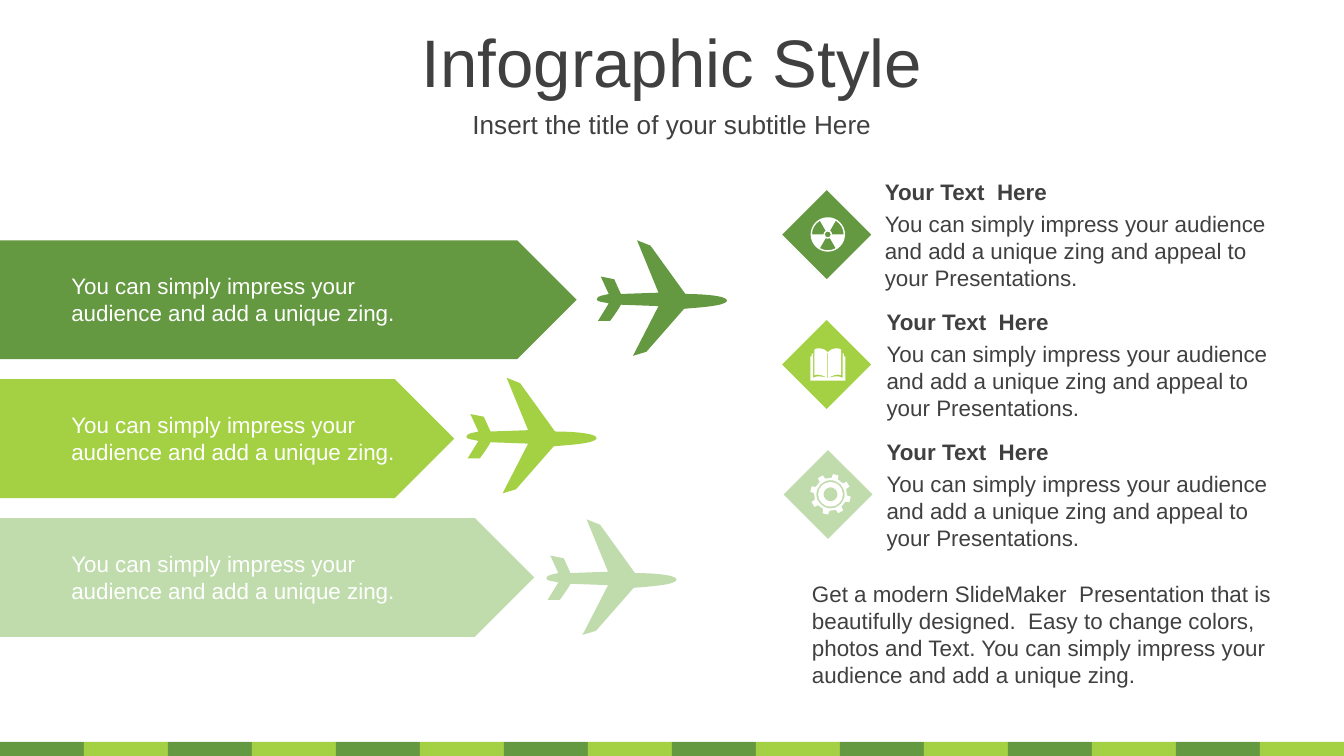
import math
from dataclasses import dataclass

import lxml.etree
import pptx
import pptx.dml.color
import pptx.enum.shapes
import pptx.enum.text
import pptx.oxml.ns
import pptx.util

SHAPES = pptx.enum.shapes.MSO_SHAPE
ALIGN = pptx.enum.text.PP_ALIGN
FIT = pptx.enum.text.MSO_AUTO_SIZE
qn = pptx.oxml.ns.qn

# The slide is a grid of square cells, 100 columns wide.
COLUMNS = 100
ROWS = COLUMNS * 9 / 16
CELL = pptx.util.Inches(10) / COLUMNS


@dataclass(frozen=True)
class Theme:
    font: str = "Arial"
    title: int = 36
    subtitle: int = 14
    body: int = 12
    ink: str = "404040"
    white: str = "FFFFFF"
    greens: tuple = ("649941", "A4D144", "C0DCAD")


@dataclass(frozen=True)
class Box:
    left: float
    top: float
    width: float
    height: float

    def inner(self, left, top, width, height):
        return Box(self.left + left, self.top + top, width, height)

    def emu(self):
        return [round(v * CELL) for v in (self.left, self.top, self.width, self.height)]


THEME = Theme()
BANNER_TEXT = "You can simply impress your audience and add a unique zing."
POINT_HEADING = "Your Text  Here"
POINT_TEXT = ("You can simply impress your audience and add a unique zing "
              "and appeal to your Presentations.")
CLOSING_TEXT = ("Get a modern SlideMaker  Presentation that is beautifully designed.  "
                "Easy to change colors, photos and Text. You can simply impress your "
                "audience and add a unique zing.")

# Outlines are in tenths of a cell: two numbers make a line, six a Bezier curve.
PLANE = [(1, 60), (9, 47), (6, 46, 0, 46, 0, 44), (0, 41, 6, 41, 9, 40), (3, 27),
         (13, 29), (18, 40), (46, 39), (30, 0), (40, 4), (66, 40),
         (77, 40, 97, 41, 97, 45), (96, 49, 76, 50, 65, 51), (37, 83), (27, 86),
         (46, 49), (18, 48), (16, 52, 10, 60, 10, 60)]
HALF_BOOK = [(0, -9), (2, -11, 4, -12, 6, -12), (7, -12, 9, -12, 10, -11), (10, -8),
             (12, -8), (12, -6), (13, -6), (13, 12), (0, 12)]
PAGE_EDGE = [(10, -8), (10, 8), (7, 7, 4, 8, 0.3, 10), (5, 9, 7, 8, 11, 10), (11, -8)]
SPINE = [(-0.3, -8.5), (0.3, -8.5), (0.3, 10), (-0.3, 10)]


def mirror(outline):
    """Flip an outline left to right and run it backwards."""
    points = [point[-2:] for point in outline]
    flipped = points[-1:]
    for i in range(len(outline) - 1, 0, -1):
        x1, y1, x2, y2 = outline[i][:-2] or (0, 0, 0, 0)
        controls = (x2, y2, x1, y1) if len(outline[i]) == 6 else ()
        flipped.append(controls + points[i - 1])
    return [tuple(-v if k % 2 == 0 else v for k, v in enumerate(s)) for s in flipped]


def polar(radius, degrees):
    angle = math.radians(degrees)
    return radius * math.cos(angle), -radius * math.sin(angle)


def arc(radius, start, sweep):
    """One curve that follows a circle, without its first point."""
    reach = 4 / 3 * math.tan(math.radians(sweep) / 4)
    (x0, y0), (x3, y3) = polar(radius, start), polar(radius, start + sweep)
    return x0 + reach * y0, y0 - reach * x0, x3 - reach * y3, y3 + reach * x3, x3, y3


def circle(radius):
    return [(radius, 0)] + [arc(radius, a, 90) for a in range(0, 360, 90)]


def radiation_icon():
    blades = [[polar(11.8, a), arc(11.8, a, 60), polar(3.2, a + 60), arc(3.2, a + 60, -60)]
              for a in (0, 120, 240)]
    return [circle(12.8), circle(2.2)] + blades


def book_icon():
    return [HALF_BOOK + mirror(HALF_BOOK)[1:], PAGE_EDGE, mirror(PAGE_EDGE), SPINE]


def gear_icon():
    rim = []
    for tooth in range(75, 435, 45):
        rim += [polar(12.3, tooth - 11), polar(15.2, tooth - 8),
                polar(15.2, tooth + 8), polar(12.3, tooth + 11)]
    return [rim, circle(10.5), circle(9.2), circle(5.2)]


def paint(shape, color):
    shape.shadow.inherit = False
    shape.fill.solid()
    shape.fill.fore_color.rgb = pptx.dml.color.RGBColor.from_string(color)
    shape.line.fill.background()


def add_block(slide, preset, box, color):
    paint(slide.shapes.add_shape(preset, *box.emu()), color)


def bend(line, numbers):
    """Change a drawn line into a curve with the given points."""
    curve = lxml.etree.Element(qn("a:cubicBezTo"))
    for x, y in zip(numbers[::2], numbers[1::2]):
        lxml.etree.SubElement(curve, qn("a:pt"), x=str(x), y=str(y))
    line.getparent().replace(line, curve)


def add_outline(slide, contours, left, top, color):
    """Draw contours around a point; inner contours become holes."""
    placed = [[tuple(round(((top if k % 2 else left) + v / 10) * CELL)
                     for k, v in enumerate(segment)) for segment in contour]
              for contour in contours]
    builder = slide.shapes.build_freeform(*placed[0][0], scale=1.0)
    for i, contour in enumerate(placed):
        if i:
            builder.move_to(*contour[0])
        builder.add_line_segments([s[-2:] for s in contour[1:]], close=True)
    shape = builder.convert_to_shape()
    segments = [segment for contour in placed for segment in contour[1:]]
    for line, segment in zip(list(shape._element.iter(qn("a:lnTo"))), segments):
        if len(segment) == 6:
            bend(line, [v - (shape.top if k % 2 else shape.left)
                        for k, v in enumerate(segment)])
    paint(shape, color)


def write(shape, text, size, color, bold=False, align=ALIGN.LEFT, fit=FIT.SHAPE_TO_FIT_TEXT):
    frame = shape.text_frame
    frame.word_wrap = True
    frame.auto_size = fit
    frame.vertical_anchor = pptx.enum.text.MSO_ANCHOR.MIDDLE
    paragraph = frame.paragraphs[0]
    paragraph.alignment = align
    run = paragraph.add_run()
    run.text = text
    run.font.name = THEME.font
    run.font.size = pptx.util.Pt(size)
    run.font.bold = bold
    run.font.color.rgb = pptx.dml.color.RGBColor.from_string(color)


def add_text(slide, box, text, size=THEME.body, color=THEME.ink, **style):
    write(slide.shapes.add_textbox(*box.emu()), text, size, color, **style)


def add_footer(slide, box, count=16):
    width = box.width / count
    for i in range(count):
        add_block(slide, SHAPES.RECTANGLE, box.inner(i * width, 0, width, box.height),
                  THEME.greens[i % 2])


def add_header(slide, box):
    title = slide.shapes.title
    title.left, title.top, title.width, title.height = box.inner(0, 0, box.width, 6.3).emu()
    write(title, "Infographic Style", THEME.title, THEME.ink, align=ALIGN.CENTER, fit=FIT.NONE)
    add_text(slide, box.inner(0, 6.35, box.width, 3.1), "Insert the title of your subtitle Here",
             THEME.subtitle, align=ALIGN.CENTER, fit=FIT.NONE)


def add_banners(slide, box):
    lengths = (42.9, 33.8, 39.75)
    planes = ((44.4, 0), (34.7, -0.1), (40.65, 0.1))
    pitch = box.height / len(lengths)
    for i, (length, (plane_left, plane_shift)) in enumerate(zip(lengths, planes)):
        top, color = i * pitch, THEME.greens[i]
        add_block(slide, SHAPES.PENTAGON, box.inner(0, top, length, 8.85), color)
        add_text(slide, box.inner(4.32, top + 1.9, 26.8, 5), BANNER_TEXT, color=THEME.white)
        add_outline(slide, [PLANE], box.left + plane_left, box.top + top + plane_shift, color)


def add_points(slide, box):
    icons = (radiation_icon(), book_icon(), gear_icon())
    pitch = box.height / len(icons)
    for i, (icon, diamond, text) in enumerate(zip(icons, (0, 0, 0.1), (6.65, 6.78, 6.78))):
        row = box.inner(0, i * pitch, box.width, pitch)
        add_block(slide, SHAPES.DIAMOND, row.inner(diamond, 1.4, 6.62, 6.62), THEME.greens[i])
        add_outline(slide, icon, row.left + 3.4 + 2 * diamond, row.top + 4.7, THEME.white)
        add_text(slide, row.inner(text, 0, 30.8, 3), POINT_HEADING, bold=True)
        add_text(slide, row.inner(text, 2.35, 30.8, 7.1), POINT_TEXT)


def main():
    deck = pptx.Presentation()
    deck.slide_width, deck.slide_height = Box(0, 0, COLUMNS, ROWS).emu()[2:]
    slide = deck.slides.add_slide(deck.slide_layouts[5])
    add_footer(slide, Box(0, ROWS - 1.05, COLUMNS, 1.05))
    add_header(slide, Box(0, 1.35, COLUMNS, 9.4))
    add_banners(slide, Box(0, 17.88, 54, 31))
    add_points(slide, Box(58.2, 12.75, 37.6, 29))
    add_text(slide, Box(59.43, 42.63, 37.8, 9.1), CLOSING_TEXT)
    deck.save("out.pptx")


if __name__ == "__main__":
    main()
